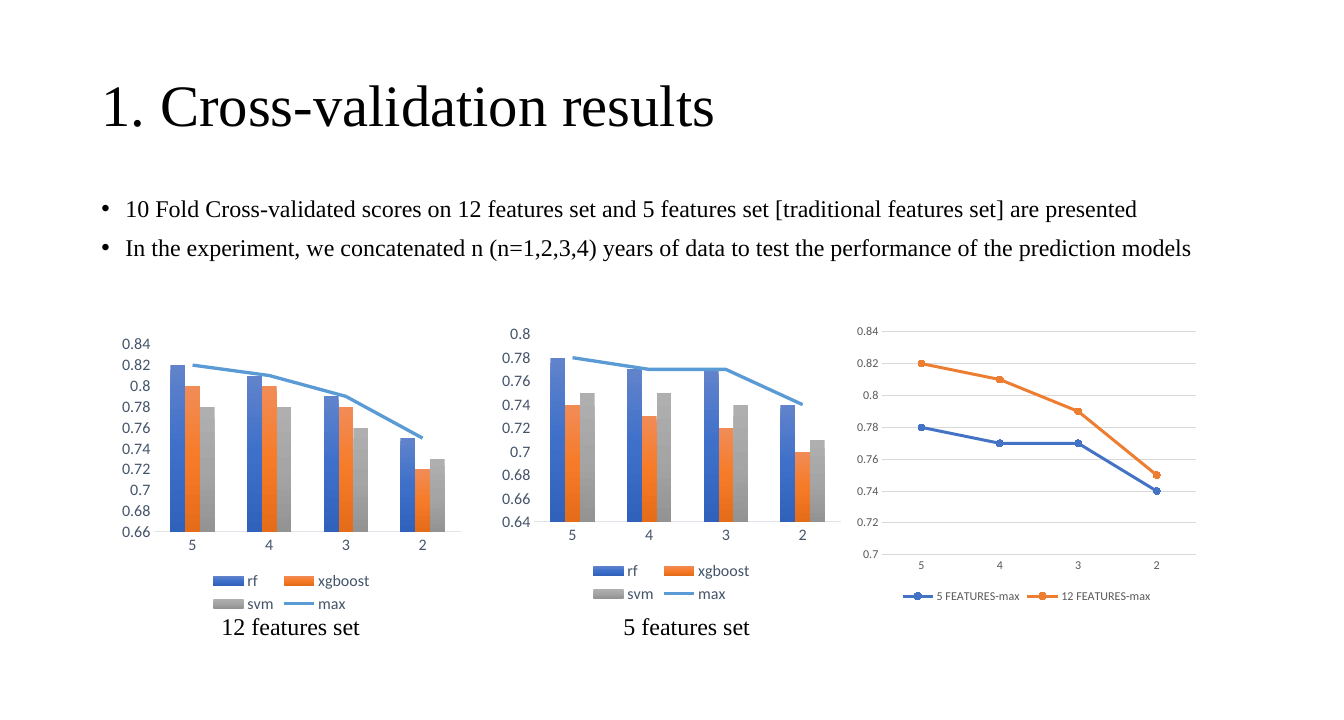
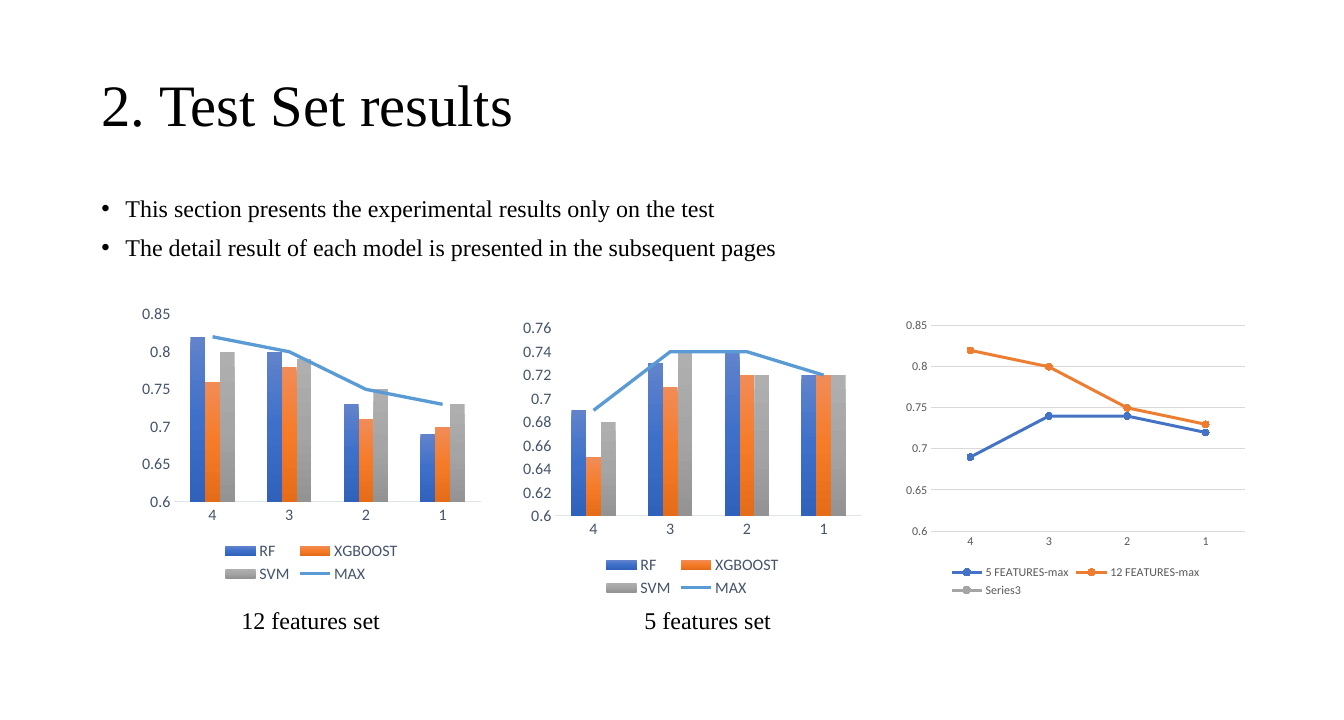
from dataclasses import dataclass

from pptx import Presentation
from pptx.chart.chart import Chart
from pptx.chart.data import CategoryChartData
from pptx.dml.color import RGBColor
from pptx.enum.chart import XL_CHART_TYPE as ChartType
from pptx.enum.chart import XL_LEGEND_POSITION as LegendPosition
from pptx.enum.chart import XL_MARKER_STYLE as MarkerStyle
from pptx.enum.chart import XL_TICK_MARK as TickMark
from pptx.enum.text import MSO_ANCHOR as Anchor
from pptx.enum.text import MSO_AUTO_SIZE as AutoSize
from pptx.enum.text import PP_ALIGN as Align
from pptx.oxml import parse_xml
from pptx.oxml.ns import nsdecls, qn
from pptx.slide import Slide
from pptx.util import Emu, Pt

# Shared style
PX = 9525
TEXT_FONT, CHART_FONT = "Times New Roman", "Calibri"
BLACK = RGBColor(0x00, 0x00, 0x00)
SLATE = RGBColor(0x44, 0x54, 0x6A)
PALE_SLATE = RGBColor(0xE0, 0xE5, 0xEB)
GRAY = RGBColor(0x59, 0x59, 0x59)
PALE_GRAY = RGBColor(0xD9, 0xD9, 0xD9)
MAX_BLUE = RGBColor(0x5B, 0x9B, 0xD5)
LINE_COLORS = (
    RGBColor(0x44, 0x72, 0xC4),
    RGBColor(0xED, 0x7D, 0x31),
    RGBColor(0xA5, 0xA5, 0xA5),
)
BAR_GRADIENTS = (
    (RGBColor(0x61, 0x83, 0xCB), RGBColor(0x3E, 0x70, 0xCA), RGBColor(0x30, 0x62, 0xBB)),
    (RGBColor(0xF1, 0x8C, 0x57), RGBColor(0xF6, 0x7B, 0x28), RGBColor(0xE5, 0x6C, 0x19)),
    (RGBColor(0xAF, 0xAF, 0xAF), RGBColor(0xA5, 0xA5, 0xA5), RGBColor(0x93, 0x93, 0x93)),
)
CHART_WIDTH, CHART_HEIGHT = 353, 288

Values = tuple[float | None, ...]


@dataclass(frozen=True)
class Box:
    left: int
    top: int
    width: int
    height: int

    def emu(self) -> tuple[Emu, ...]:
        return tuple(Emu(n * PX) for n in (self.left, self.top, self.width, self.height))


@dataclass(frozen=True)
class Scale:
    low: float
    high: float
    step: float


@dataclass(frozen=True)
class AxisStyle:
    size: int
    text: RGBColor
    line: RGBColor
    grid: bool


@dataclass(frozen=True)
class ScoreChart:
    left: int
    top: int
    scale: Scale
    scores: tuple[Values, ...]
    caption: str
    caption_box: Box

    def best(self) -> Values:
        return tuple(max(column) for column in zip(*self.scores))


@dataclass(frozen=True)
class ResultPage:
    title: str
    bullets: tuple[str, ...]
    align: Align
    categories: tuple[str, ...]
    models: tuple[str, ...]
    twelve: ScoreChart
    five: ScoreChart
    lines_left: int
    lines_top: int
    lines_scale: Scale
    extra_lines: tuple[str, ...] = ()


TITLE_BOX = Box(92, 38, 1159, 139)
BODY_BOX = Box(92, 192, 1159, 457)
BAR_STYLE = AxisStyle(12, SLATE, PALE_SLATE, False)
LINE_STYLE = AxisStyle(9, GRAY, PALE_GRAY, True)

PAGES = (
    ResultPage(
        "1. Cross-validation results",
        (
            "10 Fold Cross-validated scores on 12 features set and 5 features set "
            "[traditional features set] are presented",
            "In the experiment, we concatenated n (n=1,2,3,4) years of data to test "
            "the performance of the prediction models",
        ),
        Align.JUSTIFY,
        ("5", "4", "3", "2"),
        ("rf", "xgboost", "svm", "max"),
        ScoreChart(
            115, 329, Scale(0.66, 0.84, 0.02),
            ((0.82, 0.81, 0.79, 0.75), (0.8, 0.8, 0.78, 0.72), (0.78, 0.78, 0.76, 0.73)),
            "12 features set", Box(212, 607, 159, 38),
        ),
        ScoreChart(
            495, 319, Scale(0.64, 0.8, 0.02),
            ((0.78, 0.77, 0.77, 0.74), (0.74, 0.73, 0.72, 0.7), (0.75, 0.75, 0.74, 0.71)),
            "5 features set", Box(614, 607, 147, 38),
        ),
        850, 319, Scale(0.7, 0.84, 0.02),
    ),
    ResultPage(
        "2. Test Set results",
        (
            "This section presents the experimental results only on the test",
            "The detail result of each model is presented in the subsequent pages",
        ),
        Align.LEFT,
        ("4", "3", "2", "1"),
        ("RF", "XGBOOST", "SVM", "MAX"),
        ScoreChart(
            135, 299, Scale(0.6, 0.85, 0.05),
            ((0.82, 0.8, 0.73, 0.69), (0.76, 0.78, 0.71, 0.7), (0.8, 0.79, 0.75, 0.73)),
            "12 features set", Box(232, 601, 159, 38),
        ),
        ScoreChart(
            516, 313, Scale(0.6, 0.76, 0.02),
            ((0.69, 0.73, 0.74, 0.72), (0.65, 0.71, 0.72, 0.72), (0.68, 0.74, 0.72, 0.72)),
            "5 features set", Box(635, 601, 147, 38),
        ),
        899, 313, Scale(0.6, 0.85, 0.05),
        ("Series3",),
    ),
)


# Text
def add_text(page: Slide, box: Box, lines: tuple[str, ...], size: int, spacing: float = 1.0,
             align: Align = Align.LEFT, bullets: bool = False, wrap: bool = True,
             anchor: Anchor = Anchor.TOP) -> None:
    frame = page.shapes.add_textbox(*box.emu()).text_frame
    frame.word_wrap = wrap
    frame.auto_size = AutoSize.NONE if wrap else AutoSize.SHAPE_TO_FIT_TEXT
    frame.vertical_anchor = anchor
    for index, line in enumerate(lines):
        para = frame.add_paragraph() if index else frame.paragraphs[0]
        if bullets:
            props = para._p.get_or_add_pPr()
            props.set("marL", str(24 * PX))
            props.set("indent", str(-24 * PX))
            props.append(parse_xml(f'<a:buFont {nsdecls("a")} typeface="Arial"/>'))
            props.append(parse_xml(f'<a:buChar {nsdecls("a")} char="•"/>'))
        para.alignment = align
        para.line_spacing = spacing
        if index:
            para.space_before = Pt(10)
        span = para.add_run()
        span.text = line
        span.font.name = TEXT_FONT
        span.font.size = Pt(size)
        span.font.color.rgb = BLACK


# Charts
def set_font(font, size: int, color: RGBColor) -> None:
    font.name = CHART_FONT
    font.size = Pt(size)
    font.color.rgb = color


def add_chart(page: Slide, kind: ChartType, left: int, top: int, categories: tuple[str, ...],
              series: dict[str, Values], scale: Scale, style: AxisStyle) -> Chart:
    data = CategoryChartData()
    data.categories = categories
    for name, values in series.items():
        data.add_series(name, values)
    box = Box(left, top, CHART_WIDTH, CHART_HEIGHT)
    chart = page.shapes.add_chart(kind, *box.emu(), data).chart
    chart.has_title = False
    set_font(chart.font, 10, BLACK)
    chart.has_legend = True
    chart.legend.position = LegendPosition.BOTTOM
    chart.legend.include_in_layout = False
    set_font(chart.legend.font, style.size, style.text)
    for axis in (chart.category_axis, chart.value_axis):
        axis.major_tick_mark = axis.minor_tick_mark = TickMark.NONE
        set_font(axis.tick_labels.font, style.size, style.text)
    base_line = chart.category_axis.format.line
    base_line.color.rgb = style.line
    base_line.width = Pt(0.75)
    values_axis = chart.value_axis
    values_axis.format.line.fill.background()
    values_axis.minimum_scale = scale.low
    values_axis.maximum_scale = scale.high
    values_axis.major_unit = scale.step
    values_axis.has_major_gridlines = style.grid
    if style.grid:
        grid_line = values_axis.major_gridlines.format.line
        grid_line.color.rgb = style.line
        grid_line.width = Pt(0.75)
    chart.plots[0].vary_by_categories = False
    return chart


def style_line(series, color: RGBColor, width: float, marker: MarkerStyle) -> None:
    series.smooth = False
    series.format.line.color.rgb = color
    series.format.line.width = Pt(width)
    series.marker.style = marker
    if marker != MarkerStyle.NONE:
        series.marker.size = 5
        series.marker.format.fill.solid()
        series.marker.format.fill.fore_color.rgb = color
        series.marker.format.line.color.rgb = color


def fill_gradient(series, colors: tuple[RGBColor, ...]) -> None:
    stops = "".join(
        f'<a:gs pos="{index * 50000}"><a:srgbClr val="{color}"/></a:gs>'
        for index, color in enumerate(colors)
    )
    series._element.get_or_add_spPr().append(parse_xml(
        f'<a:gradFill {nsdecls("a")} rotWithShape="1"><a:gsLst>{stops}</a:gsLst>'
        '<a:lin ang="5400000" scaled="0"/></a:gradFill>'
    ))


def move_last_series_to_line(chart: Chart) -> None:
    bars = chart.plots[0]._element
    series = bars.findall(qn("c:ser"))[-1]
    for bar_only in series.findall(qn("c:invertIfNegative")):
        series.remove(bar_only)
    axis_ids = "".join(
        f'<c:axId val="{axis.get("val")}"/>' for axis in bars.findall(qn("c:axId"))
    )
    lines = parse_xml(
        f'<c:lineChart {nsdecls("c")}><c:grouping val="standard"/>'
        f'<c:varyColors val="0"/><c:marker val="1"/>{axis_ids}</c:lineChart>'
    )
    lines.insert(2, series)
    bars.addnext(lines)


def add_score_chart(page: Slide, result: ResultPage, score: ScoreChart) -> None:
    series = dict(zip(result.models, (*score.scores, score.best())))
    chart = add_chart(page, ChartType.COLUMN_CLUSTERED, score.left, score.top,
                      result.categories, series, score.scale, BAR_STYLE)
    move_last_series_to_line(chart)
    bars, lines = chart.plots
    bars.gap_width = 219
    for bar_series, colors in zip(bars.series, BAR_GRADIENTS):
        fill_gradient(bar_series, colors)
    style_line(lines.series[0], MAX_BLUE, 2.5, MarkerStyle.NONE)
    add_text(page, score.caption_box, (score.caption,), 18, wrap=False)


def add_comparison_chart(page: Slide, result: ResultPage) -> None:
    series = {
        "5 FEATURES-max": result.five.best(),
        "12 FEATURES-max": result.twelve.best(),
    }
    for name in result.extra_lines:
        series[name] = (None,) * len(result.categories)
    chart = add_chart(page, ChartType.LINE_MARKERS, result.lines_left, result.lines_top,
                      result.categories, series, result.lines_scale, LINE_STYLE)
    for line_series, color in zip(chart.plots[0].series, LINE_COLORS):
        style_line(line_series, color, 2.25, MarkerStyle.CIRCLE)


# Deck
def main() -> None:
    deck = Presentation()
    deck.slide_width, deck.slide_height = Emu(1344 * PX), Emu(720 * PX)
    for result in PAGES:
        page = deck.slides.add_slide(deck.slide_layouts[6])
        add_text(page, TITLE_BOX, (result.title,), 44, spacing=0.9, anchor=Anchor.MIDDLE)
        add_text(page, BODY_BOX, result.bullets, 18, spacing=0.9, align=result.align,
                 bullets=True)
        for score in (result.twelve, result.five):
            add_score_chart(page, result, score)
        add_comparison_chart(page, result)
    deck.save("out.pptx")


if __name__ == "__main__":
    main()
